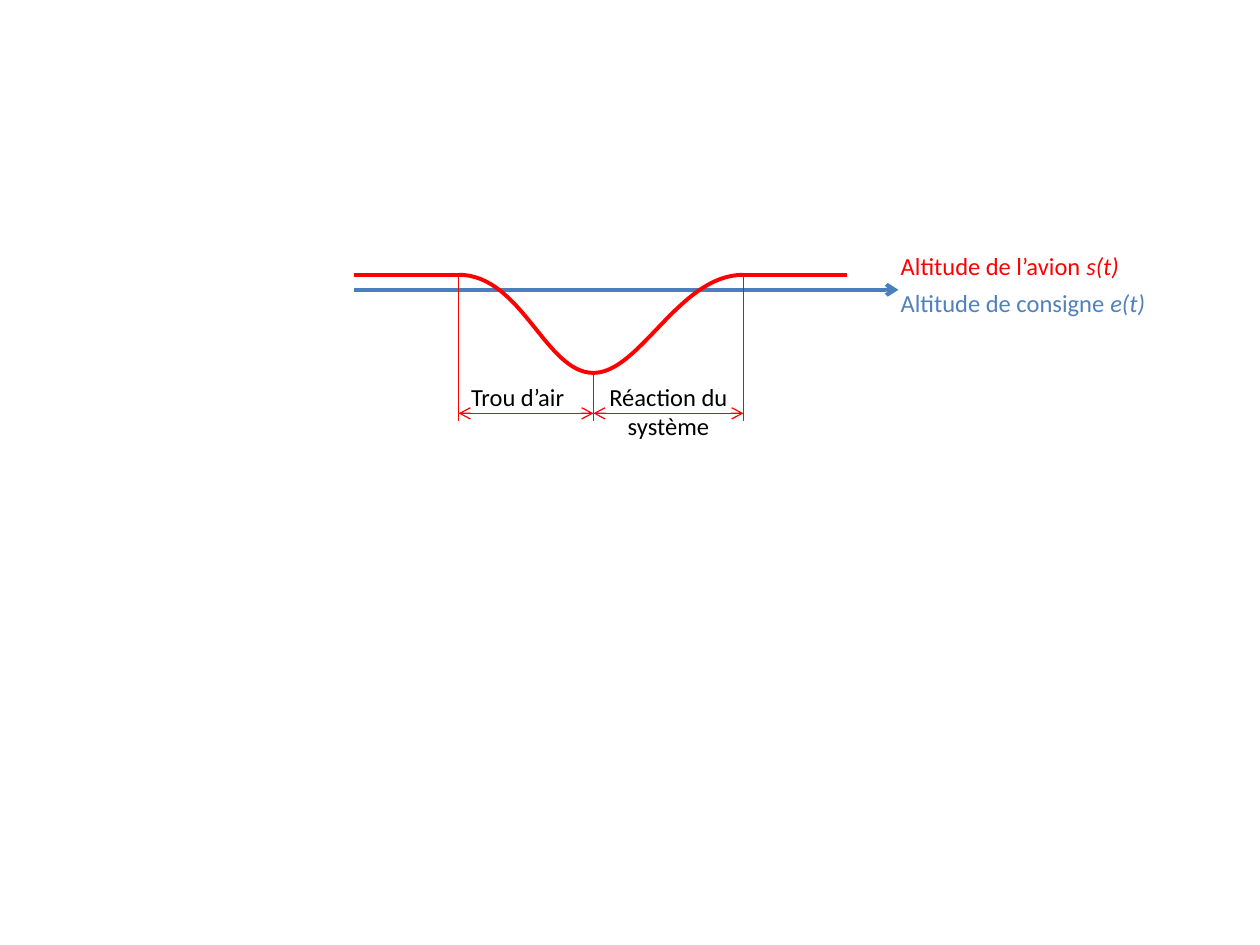
from lxml.etree import SubElement
from pptx import Presentation
from pptx.dml.color import RGBColor
from pptx.enum.shapes import MSO_CONNECTOR
from pptx.enum.text import MSO_AUTO_SIZE, PP_ALIGN
from pptx.oxml.ns import qn
from pptx.util import Pt

COLORS = {"aircraft": "FF0000", "setpoint": "4B7EBC",
          "setpoint text": "4F81BD", "note": "000000"}
FONT, FONT_SIZE = "Calibri", 14
THICK, THIN = 2.25, 0.75

# Key positions of the graph
LEFT, SETPOINT_END, FLIGHT_END = 202.3, 513.4, 483.8
HOLE, BOTTOM, RECOVERED = 262.1, 339.1, 424.8
FLIGHT_Y, SETPOINT_Y, LOW_Y = 157, 165.6, 213.1
SPAN_Y, FOOT_Y = 236.2, 240.5
LABEL_X, NOTE_Y = 507.6, 214.6
OVERLAP = 1.6  # level flight runs slightly into the dip

# Start, end, colour, width, arrowheads
LINES = [
    ((LEFT, SETPOINT_Y), (SETPOINT_END, SETPOINT_Y), "setpoint", THICK, ["tailEnd"]),
    ((LEFT, FLIGHT_Y), (HOLE + OVERLAP, FLIGHT_Y), "aircraft", THICK, []),
    ((RECOVERED - OVERLAP, FLIGHT_Y), (FLIGHT_END, FLIGHT_Y), "aircraft", THICK, []),
]
for x, top in [(HOLE, FLIGHT_Y), (BOTTOM, LOW_Y), (RECOVERED, FLIGHT_Y)]:
    LINES.append(((x, top), (x, FOOT_Y), "aircraft", THIN, []))
for start, end in [(HOLE, BOTTOM), (BOTTOM, RECOVERED)]:
    LINES.append(((start, SPAN_Y), (end, SPAN_Y), "aircraft", THIN,
                  ["headEnd", "tailEnd"]))

# Start point, then two Bézier segments of three points each
DIP = [(HOLE, FLIGHT_Y),
       (298.1, FLIGHT_Y), (311.8, LOW_Y), (BOTTOM, LOW_Y),
       (365.8, LOW_Y), (388.1, FLIGHT_Y), (RECOVERED, FLIGHT_Y)]

# Left, top, width, height, plain text, italic text, colour, alignment
LABELS = [
    (LABEL_X, 161.3, 158.4, 24.2, "Altitude de consigne ", "e(t)",
     "setpoint text", PP_ALIGN.LEFT),
    (LABEL_X, 139.7, 147.6, 24.2, "Altitude de l’avion ", "s(t)",
     "aircraft", PP_ALIGN.LEFT),
    (HOLE, NOTE_Y, 73.4, 24.2, "Trou d’air", "", "note", PP_ALIGN.LEFT),
    (BOTTOM, NOTE_Y, RECOVERED - BOTTOM, 41, "Réaction du système", "",
     "note", PP_ALIGN.CENTER),
]


def color(name):
    return RGBColor.from_string(COLORS[name])


def style_line(shape, name, width):
    shape.line.color.rgb = color(name)
    shape.line.width = Pt(width)


def add_line(shapes, start, end, name, width, arrows):
    line = shapes.add_connector(MSO_CONNECTOR.STRAIGHT,
                                *(Pt(value) for value in start + end))
    style_line(line, name, width)
    properties = line.element.spPr
    outline = properties.find(qn("a:ln"))
    for arrow in arrows:
        SubElement(outline, qn(f"a:{arrow}"), type="arrow")
    SubElement(properties, qn("a:effectLst"))


def add_curve(shapes, points, name, width):
    points = [(Pt(x), Pt(y)) for x, y in points]
    builder = shapes.build_freeform(*points[0], scale=1.0)
    builder.add_line_segments(points[1:], close=False)
    curve = builder.convert_to_shape()
    curve.fill.background()
    curve.shadow.inherit = False
    style_line(curve, name, width)
    # Turn each group of three line points into one cubic segment
    outline = curve.element.spPr.find(".//" + qn("a:path"))
    steps = outline.findall(qn("a:lnTo"))
    for first in range(0, len(steps), 3):
        cubic = SubElement(outline, qn("a:cubicBezTo"))
        for step in steps[first:first + 3]:
            cubic.append(step[0])
            outline.remove(step)


def add_label(shapes, left, top, width, height, plain, italic, name, alignment):
    box = shapes.add_textbox(Pt(left), Pt(top), Pt(width), Pt(height))
    frame = box.text_frame
    frame.word_wrap = True
    frame.auto_size = MSO_AUTO_SIZE.SHAPE_TO_FIT_TEXT
    para = frame.paragraphs[0]
    para.alignment = alignment
    for text, slanted in [(plain, False), (italic, True)]:
        if text:
            span = para.add_run()
            span.text = text
            span.font.name = FONT
            span.font.size = Pt(FONT_SIZE)
            span.font.italic = slanted
            span.font.color.rgb = color(name)


def main():
    deck = Presentation()
    deck.slide_width, deck.slide_height = Pt(720), Pt(540)
    shapes = deck.slides.add_slide(deck.slide_layouts[6]).shapes

    # Setpoint, level flight, guides and spans
    for line in LINES:
        add_line(shapes, *line)

    # Dip in the flight altitude
    add_curve(shapes, DIP, "aircraft", THICK)

    # Labels
    for label in LABELS:
        add_label(shapes, *label)

    deck.save("out.pptx")


if __name__ == "__main__":
    main()
